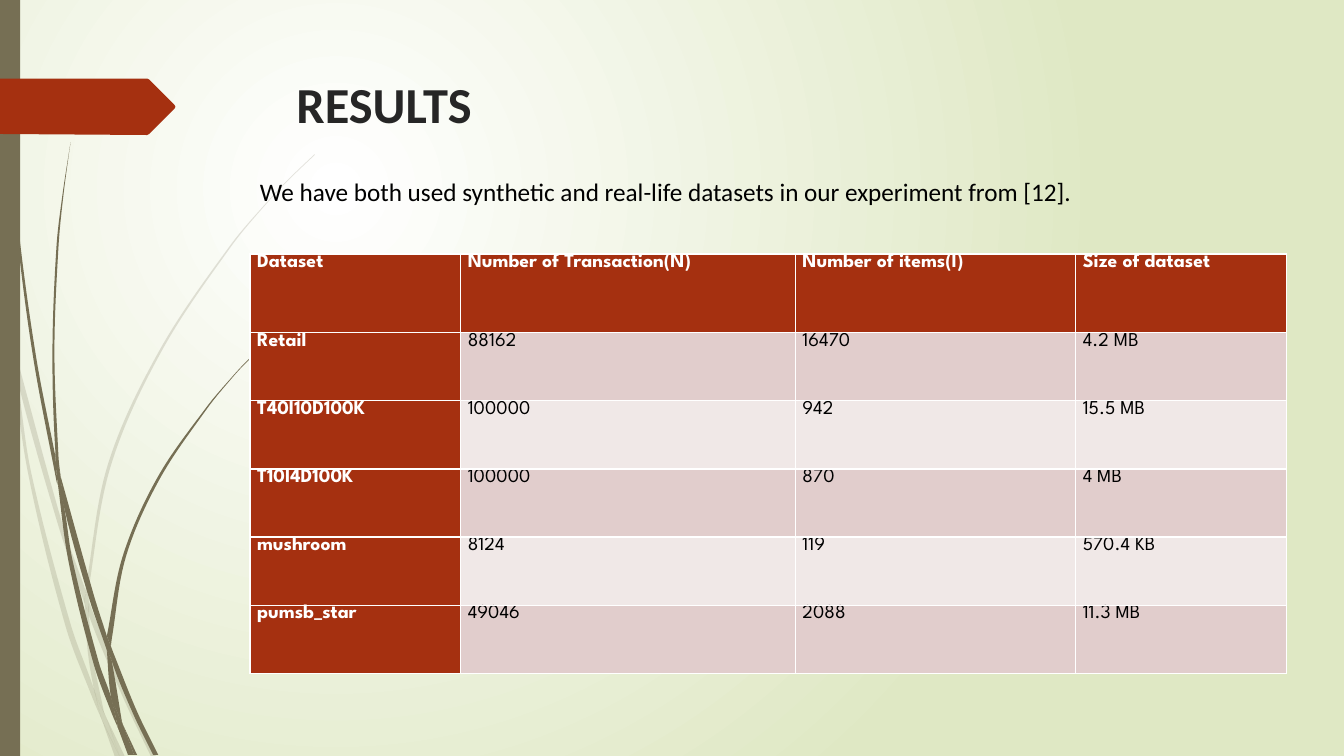
"""Build the results slide with its dataset table and grass decoration."""
from dataclasses import dataclass

import pptx
import pptx.dml.color
import pptx.enum.shapes
import pptx.enum.text
import pptx.oxml
import pptx.oxml.ns
import pptx.util
from pptx.util import Inches

Point = tuple[float, float]
OLIVE, RUST, WHITE, BLACK = "766F54", "A53010", "FFFFFF", "000000"
BANDS = ("E1CDCC", "F0E8E7")


@dataclass(frozen=True)
class Blade:
    near: list[Point]
    far: list[Point]


@dataclass(frozen=True)
class Tuft:
    opacity: int
    blades: list[Blade]


@dataclass(frozen=True)
class Label:
    text: str
    size: float
    font: str
    color: str
    bold: bool = False


PALE_TUFT = Tuft(20, [
    Blade([(0.11, 3.5), (0.09, 3.22), (0, 2.82)], [(0, 2.99), (0.1, 3.44), (0.11, 3.5)]),
    Blade([(0.14, 3.45), (0.17, 3.76), (0.58, 5.22), (0.84, 5.99)],
          [(0.85, 5.86), (0.62, 5.2), (0.14, 3.45)]),
    Blade([(0.88, 5.96), (0.88, 6.1), (1.23, 6.94), (1.5, 7.51)],
          [(1.55, 7.51), (1.27, 6.92), (0.92, 6.07), (0.88, 5.96)]),
    Blade([(1.05, 7.11), (1.19, 7.51)], [(1.24, 7.51), (1.05, 7.11)]),
    Blade([(0.11, 3.5), (0.28, 4.7), (0.65, 6.21), (0.92, 6.93), (1.01, 7.14)],
          [(0.99, 7.07), (0.93, 6.83), (0.7, 6.19), (0.31, 4.69), (0.17, 3.76), (0.11, 3.5)]),
    Blade([(0.84, 5.99), (0.87, 6.46), (0.93, 6.83), (0.96, 6.92), (1.05, 7.11)],
          [(1.03, 7.06), (0.91, 6.46), (0.88, 6.1), (0.84, 5.99)]),
    Blade([(0.88, 5.96), (0.88, 5.84), (1.1, 4.62), (1.6, 3.49), (2.29, 2.45),
           (2.68, 1.98), (2.9, 1.75), (3.12, 1.54)],
          [(3.12, 1.53), (2.89, 1.75), (2.68, 1.97), (2.28, 2.44), (1.58, 3.48),
           (1.07, 4.61), (0.85, 5.84), (0.85, 5.86)]),
    Blade([(1.01, 7.14), (1.14, 7.51)], [(1.19, 7.51), (1.01, 7.14)]),
    Blade([(0.88, 6.08), (0.88, 6.1), (0.88, 5.96)], [(0.85, 5.86), (0.84, 5.99), (0.88, 6.08)]),
    Blade([(0.93, 6.83), (0.99, 7.07), (1.01, 7.14), (1.19, 7.51)],
          [(1.19, 7.51), (1.05, 7.11), (0.96, 6.92), (0.93, 6.83)]),
])
DARK_TUFT = Tuft(100, [
    Blade([(0.04, 0), (0.05, 0.48), (0.08, 1.09), (0.19, 2.32), (0.36, 3.55), (0.55, 4.53)],
          [(0.57, 4.81), (0.56, 4.77), (0.33, 3.55), (0.17, 2.33), (0.07, 1.1),
           (0.04, 0.48), (0.03, 0)]),
    Blade([(0.6, 4.72), (0.64, 5.05), (0.88, 5.92), (1.06, 6.45)],
          [(1.06, 6.31), (0.93, 5.9), (0.6, 4.72)]),
    Blade([(1.1, 6.41), (1.11, 6.56), (1.32, 7.08), (1.52, 7.49)],
          [(1.57, 7.49), (1.36, 7.06), (1.13, 6.49), (1.1, 6.41)]),
    Blade([(0.57, 4.77), (0.68, 5.57), (0.93, 6.59), (1.11, 7.08), (1.17, 7.22)],
          [(1.16, 7.17), (1.1, 6.91), (0.98, 6.57), (0.72, 5.56), (0.64, 5.05), (0.57, 4.77)]),
    Blade([(0.7, 1.41), (0.62, 1.93), (0.56, 2.45), (0.52, 3.49), (0.55, 4.49), (0.6, 4.72)],
          [(0.6, 4.72), (0.58, 4.53), (0.54, 3.49), (0.58, 2.45), (0.63, 1.93), (0.7, 1.41)]),
    Blade([(1.22, 7.19), (1.33, 7.49)], [(1.36, 7.49), (1.22, 7.19)]),
    Blade([(0.55, 4.49), (0.55, 4.53), (0.57, 4.77), (0.64, 5.05)],
          [(0.6, 4.72), (0.55, 4.49)]),
    Blade([(1.1, 6.41), (1.11, 6.33), (1.25, 5.52), (1.58, 4.76), (2.05, 4.06),
           (2.31, 3.74), (2.45, 3.59), (2.61, 3.44)],
          [(2.6, 3.44), (2.45, 3.58), (2.31, 3.73), (2.04, 4.05), (1.56, 4.74),
           (1.22, 5.51), (1.06, 6.31)]),
    Blade([(1.17, 7.22), (1.27, 7.49)], [(1.31, 7.49), (1.17, 7.22)]),
    Blade([(1.06, 6.45), (1.1, 6.91), (1.16, 7.06), (1.22, 7.19)],
          [(1.21, 7.16), (1.11, 6.56), (1.09, 6.51), (1.06, 6.45)]),
    Blade([(1.06, 6.31), (1.06, 6.45), (1.09, 6.51), (1.11, 6.56)], [(1.1, 6.41), (1.06, 6.31)]),
    Blade([(1.1, 6.91), (1.16, 7.17), (1.17, 7.22), (1.3, 7.49)],
          [(1.33, 7.49), (1.22, 7.19), (1.16, 7.06), (1.1, 6.91)]),
])
ARROW = [(0, 0.78), (1.46, 0.78), (1.48, 0.79), (1.73, 1.04), (1.74, 1.06),
         (1.73, 1.08), (1.48, 1.33), (1.46, 1.34), (0, 1.33)]
COLUMN_WIDTHS = (2.09, 3.32, 2.78, 2.09)
TABLE_HEIGHT, HEADER_HEIGHT = 4.16, 0.78
DATASETS = [
    ("Dataset", "Number of Transaction(N)", "Number of items(I)", "Size of dataset"),
    ("Retail", "88162", "16470", "4.2 MB"),
    ("T40I10D100K", "100000", "942", "15.5 MB"),
    ("T10I4D100K", "100000", "870", "4 MB"),
    ("mushroom", "8124", "119", "570.4 KB"),
    ("pumsb_star", "49046", "2088", "11.3 MB"),
]


def rgb(value: str) -> pptx.dml.color.RGBColor:
    return pptx.dml.color.RGBColor.from_string(value)


def make_xml(xml: str):
    name, rest = xml.split(" ", 1)
    return pptx.oxml.parse_xml(f"{name} {pptx.oxml.ns.nsdecls('a')} {rest}")


def paint(shape, color: str, opacity: int = 100) -> None:
    shape.shadow.inherit = False
    shape.fill.solid()
    shape.fill.fore_color.rgb = rgb(color)
    shape.line.fill.background()
    if opacity < 100:
        fill_color = shape._element.spPr.find(".//" + pptx.oxml.ns.qn("a:srgbClr"))
        fill_color.append(make_xml(f'<a:alpha val="{opacity * 1000}"/>'))


def add_outline(shapes, points: list[Point]):
    corners = [(Inches(x), Inches(y)) for x, y in points]
    builder = shapes.build_freeform(*corners[0])
    builder.add_line_segments(corners[1:], close=True)
    return builder.convert_to_shape()


def bend(shape, lines: list, edge: list[Point]) -> None:
    points = [complex(Inches(x) - shape.left, Inches(y) - shape.top) for x, y in edge]
    padded = [points[0], *points, points[-1]]
    for line, before, start, end, after in zip(lines, padded, padded[1:], padded[2:], padded[3:]):
        reach = abs(end - start) / 3
        leaving, arriving = end - before, after - start
        handles = (start + reach * leaving / (abs(leaving) or 1),
                   end - reach * arriving / (abs(arriving) or 1), end)
        marks = "".join(f'<a:pt x="{round(p.real)}" y="{round(p.imag)}"/>' for p in handles)
        line.getparent().replace(line, make_xml(f"<a:cubicBezTo >{marks}</a:cubicBezTo>"))


def add_blade(shapes, blade: Blade, opacity: int) -> None:
    shape = add_outline(shapes, blade.near + blade.far)
    lines = list(shape._element.iter(pptx.oxml.ns.qn("a:lnTo")))
    bend(shape, lines[:len(blade.near) - 1], blade.near)
    bend(shape, lines[len(blade.near):], blade.far)
    paint(shape, OLIVE, opacity)


def write(frame, label: Label) -> None:
    frame.text = label.text
    paragraph = frame.paragraphs[0]
    paragraph.alignment = pptx.enum.text.PP_ALIGN.LEFT
    font = paragraph.font
    font.name, font.size, font.bold = label.font, pptx.util.Pt(label.size), label.bold
    font.color.rgb = rgb(label.color)


def add_background(slide) -> None:
    fill = slide.background.fill
    fill.gradient()
    for stop, position, color in zip(fill.gradient_stops, (0, 1), (WHITE, "DFE8C4")):
        stop.position, stop.color.rgb = position, rgb(color)
    gradient = slide._element.find(".//" + pptx.oxml.ns.qn("a:gradFill"))
    gradient.remove(gradient.find(pptx.oxml.ns.qn("a:lin")))
    gradient.append(make_xml('<a:path path="circle"><a:fillToRect l="50000" t="50000" '
                             'r="100000" b="100000"/></a:path>'))


def add_decoration(slide) -> None:
    for tuft in (PALE_TUFT, DARK_TUFT):
        group = slide.shapes.add_group_shape()
        for blade in tuft.blades:
            add_blade(group.shapes, blade, tuft.opacity)
    bar = slide.shapes.add_shape(pptx.enum.shapes.MSO_SHAPE.RECTANGLE,
                                 0, 0, Inches(0.2), Inches(7.5))
    paint(bar, OLIVE)
    paint(add_outline(slide.shapes, ARROW), RUST)


def add_dataset_table(slide) -> None:
    frame = slide.shapes.add_table(len(DATASETS), len(COLUMN_WIDTHS), Inches(2.48), Inches(2.52),
                                   Inches(sum(COLUMN_WIDTHS)), Inches(TABLE_HEIGHT))
    table = frame.table
    table.first_col = True
    for column, width in zip(table.columns, COLUMN_WIDTHS):
        column.width = Inches(width)
    body_height = (TABLE_HEIGHT - HEADER_HEIGHT) / (len(DATASETS) - 1)
    for i, values in enumerate(DATASETS):
        table.rows[i].height = Inches(body_height if i else HEADER_HEIGHT)
        for j, value in enumerate(values):
            heading = i == 0 or j == 0
            cell = table.cell(i, j)
            cell.margin_left = cell.margin_right = Inches(0.07)
            cell.margin_top = cell.margin_bottom = 0
            cell.fill.solid()
            cell.fill.fore_color.rgb = rgb(RUST if heading else BANDS[(i - 1) % 2])
            write(cell.text_frame, Label(value, 14, "League Spartan",
                                         WHITE if heading else BLACK, heading))


def main() -> None:
    presentation = pptx.Presentation()
    presentation.slide_width, presentation.slide_height = Inches(13.33), Inches(7.5)
    slide = presentation.slides.add_slide(presentation.slide_layouts[5])
    add_background(slide)
    add_decoration(slide)
    title = slide.shapes.title
    slide.shapes._spTree.append(title._element)
    title.left, title.top, title.width, title.height = map(Inches, (2.84, 0.68, 8.87, 0.81))
    title.text_frame.vertical_anchor = pptx.enum.text.MSO_ANCHOR.TOP
    write(title.text_frame, Label("RESULTS", 36, "Calibri", "262626", True))
    add_dataset_table(slide)
    intro = slide.shapes.add_textbox(*map(Inches, (2.48, 1.7, 8.57, 0.4))).text_frame
    intro.word_wrap = True
    intro.auto_size = pptx.enum.text.MSO_AUTO_SIZE.SHAPE_TO_FIT_TEXT
    write(intro, Label("We have both used synthetic and real-life datasets in our experiment "
                       "from [12].", 18, "Calibri", BLACK))
    presentation.save("out.pptx")


if __name__ == "__main__":
    main()
